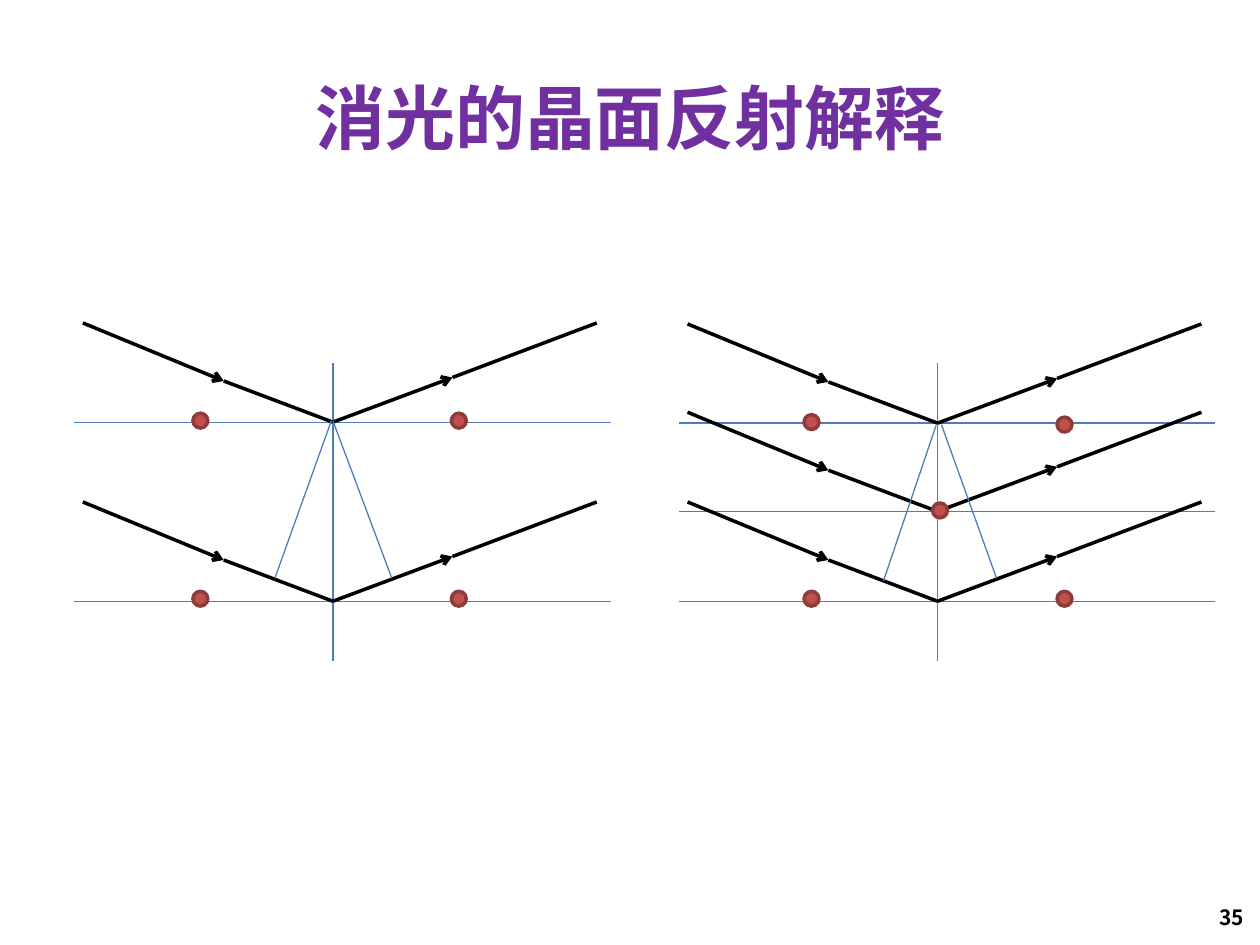
from lxml import etree
from pptx import Presentation
from pptx.dml.color import RGBColor
from pptx.enum.shapes import MSO_CONNECTOR, MSO_SHAPE
from pptx.enum.text import MSO_ANCHOR, PP_ALIGN
from pptx.oxml.ns import qn
from pptx.util import Cm, Pt

STRAIGHT = MSO_CONNECTOR.STRAIGHT
DOT = MSO_SHAPE.FLOWCHART_CONNECTOR
MIDDLE = MSO_ANCHOR.MIDDLE
CENTER, RIGHT = PP_ALIGN.CENTER, PP_ALIGN.RIGHT

PURPLE = RGBColor(0x70, 0x30, 0xA0)
BLACK = RGBColor(0, 0, 0)
BLUE = RGBColor(0x4B, 0x7E, 0xBC)
RED = RGBColor(0xC0, 0x50, 0x4D)
MAROON = RGBColor(0x8E, 0x3B, 0x39)
FONT = "Noto Sans CJK SC"

TITLE = "消光的晶面反射解释"
NUMBER = "35"

# All lengths in cm; x values inside a panel count from its normal.
PANELS = [
    {
        "mid": 6.71,
        "planes": [8.51, 12.12],
        "feet": [((-0.03, 8.48), (-1.17, 11.66)), ((0, 8.48), (1.19, 11.66))],
        "atoms": [(-2.67, 8.48), (2.54, 8.48), (-2.67, 12.07), (2.54, 12.07)],
    },
    {
        "mid": 18.9,
        "planes": [8.53, 10.31, 12.12],
        "feet": [((-0.03, 8.58), (-1.09, 11.71)), ((0.08, 8.56), (1.19, 11.66))],
        "atoms": [(-2.54, 8.51), (2.56, 8.56), (0.05, 10.29),
                  (-2.54, 12.07), (2.56, 12.07)],
    },
]
PLANE = (-5.21, 5.6)
NORMAL = (7.32, 13.33)
# Ray corners, counted from the point of reflection.
RAY = [(-5.04, -2), (-2.2, -0.83), (0, 0), (2.41, -0.9), (5.32, -2)]
SIZE = 0.3


def write(shape, text, align, **style):
    frame = shape.text_frame
    frame.word_wrap = True
    frame.vertical_anchor = MIDDLE
    para = frame.paragraphs[0]
    para.alignment = align
    run = para.add_run()
    run.text = text
    font = run.font
    font.color.rgb = style.pop("color")
    for key, value in {"name": FONT, "bold": True, **style}.items():
        setattr(font, key, value)
    east = etree.SubElement(font._element, qn("a:ea"))
    east.set("typeface", FONT)


def draw(shapes, start, end, color=BLUE, width=0.75, arrow=False):
    line = shapes.add_connector(STRAIGHT, *map(Cm, (*start, *end)))
    line.line.color.rgb = color
    line.line.width = Pt(width)
    if arrow:
        head = etree.SubElement(line.line._get_or_add_ln(), qn("a:tailEnd"))
        head.set("type", "arrow")
    etree.SubElement(line._element.spPr, qn("a:effectLst"))


def add_panel(shapes, mid, planes, feet, atoms):
    for y in planes:
        draw(shapes, (mid + PLANE[0], y), (mid + PLANE[1], y))
    draw(shapes, (mid, NORMAL[0]), (mid, NORMAL[1]))
    for y in planes:
        points = [(mid + dx, y + dy) for dx, dy in RAY]
        for i, (start, end) in enumerate(zip(points, points[1:])):
            draw(shapes, start, end, BLACK, 2, arrow=i % 2 == 0)
    for (x1, y1), (x2, y2) in feet:
        draw(shapes, (mid + x1, y1), (mid + x2, y2))
    for x, y in atoms:
        box = (mid + x - SIZE / 2, y - SIZE / 2, SIZE, SIZE)
        atom = shapes.add_shape(DOT, *map(Cm, box))
        atom.shadow.inherit = False
        atom.fill.solid()
        atom.fill.fore_color.rgb = RED
        atom.line.color.rgb = MAROON
        atom.line.width = Pt(2)


def main():
    deck = Presentation()
    deck.slide_width, deck.slide_height = Cm(25.4), Cm(19.05)
    slide = deck.slides.add_slide(deck.slide_layouts[5])
    shapes = slide.shapes

    title = shapes.title
    spot = {"left": 1.27, "top": 0.76, "width": 22.86, "height": 3.18}
    for key, value in spot.items():
        setattr(title, key, Cm(value))
    write(title, TITLE, CENTER, size=Pt(40), color=PURPLE)

    number = shapes.add_textbox(Cm(19.41), Cm(17.98), Cm(5.92), Cm(1.02))
    write(number, NUMBER, RIGHT, size=Pt(12), color=BLACK)

    for panel in PANELS:
        add_panel(shapes, **panel)
    deck.save("out.pptx")


if __name__ == "__main__":
    main()
